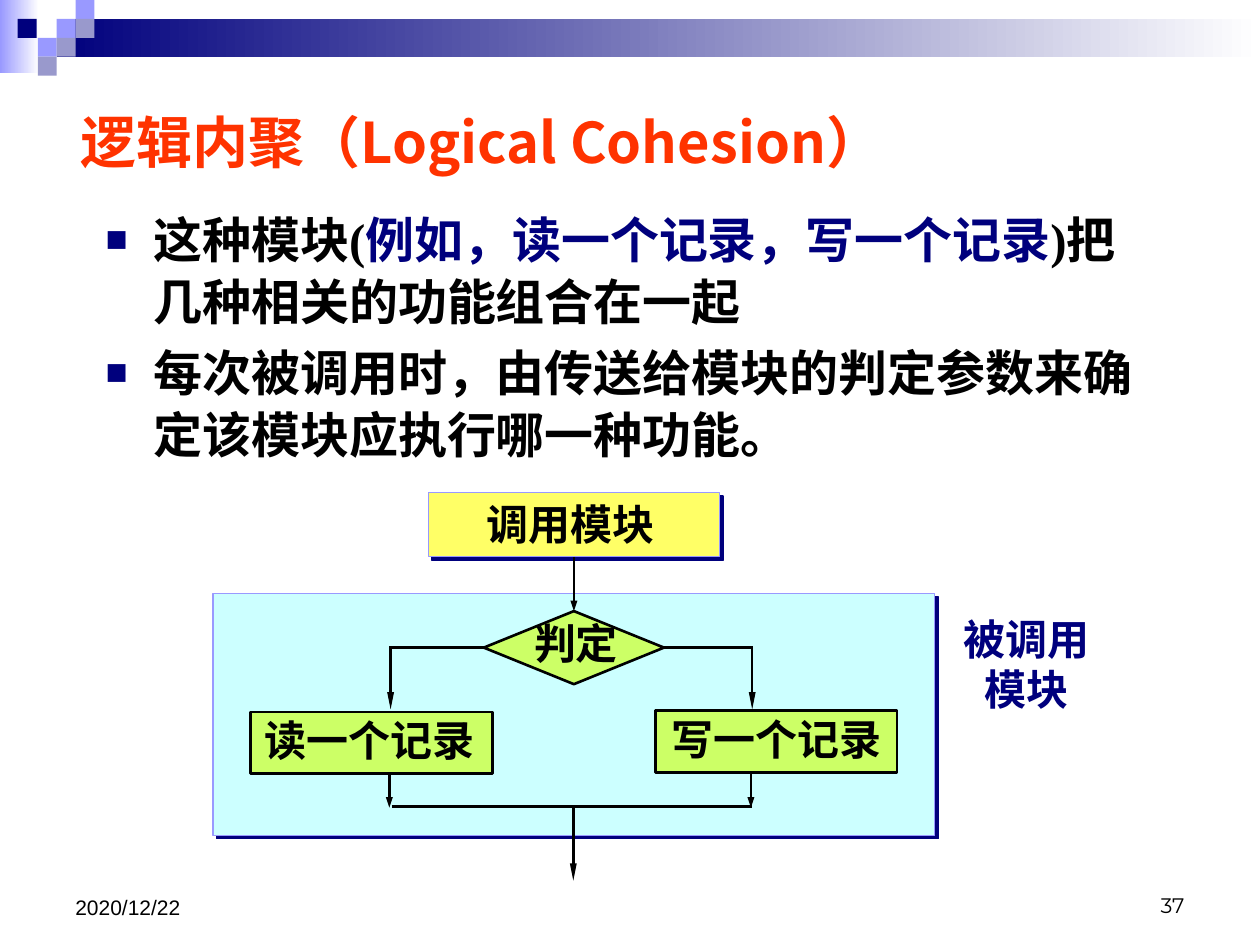
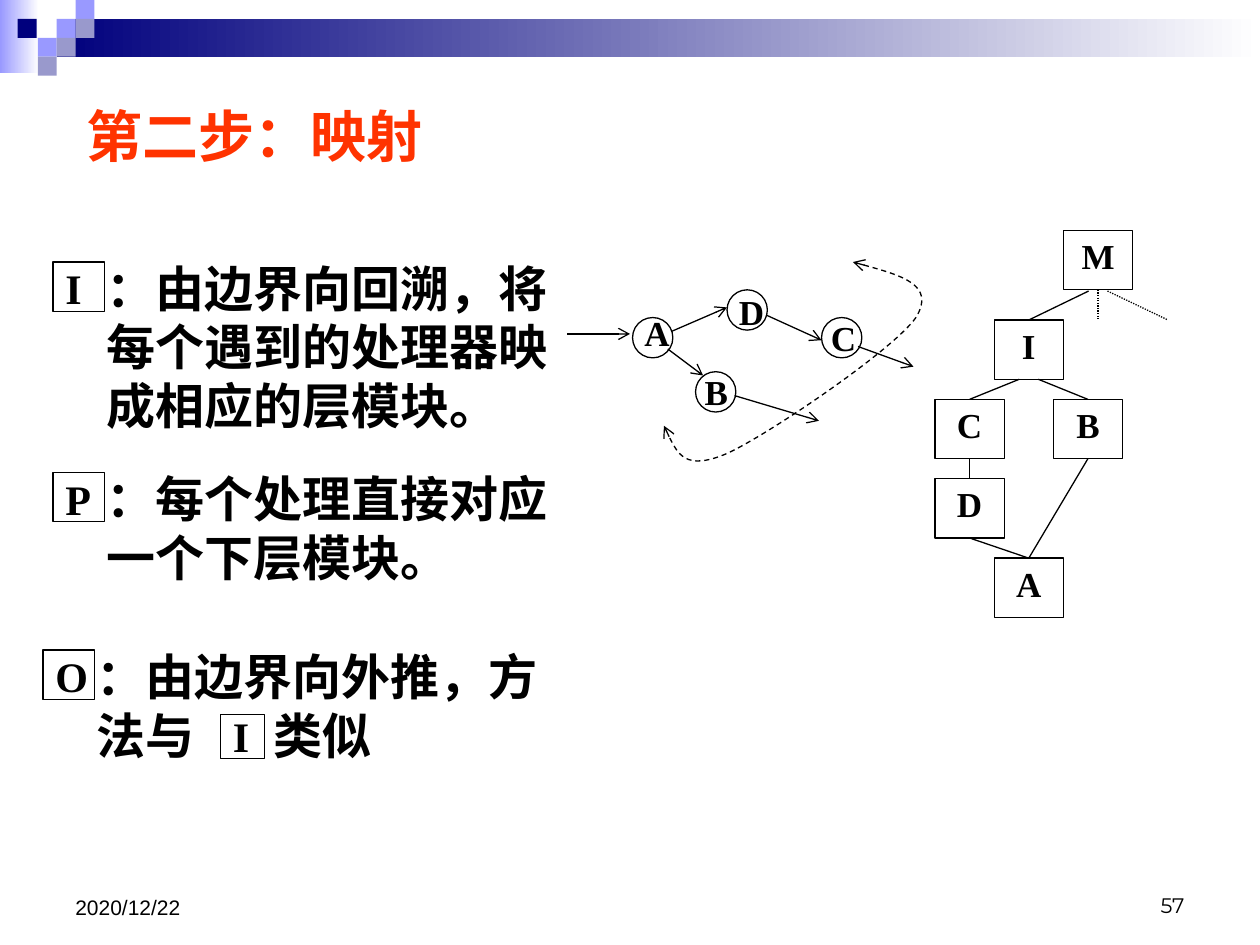
from dataclasses import dataclass

from lxml.etree import SubElement
from pptx import Presentation
from pptx.dml.color import RGBColor
from pptx.enum.dml import MSO_LINE
from pptx.enum.shapes import MSO_CONNECTOR, MSO_SHAPE
from pptx.enum.text import MSO_ANCHOR, MSO_AUTO_SIZE, PP_ALIGN
from pptx.oxml.ns import qn
from pptx.util import Pt

EMU_PER_PX = 9144
TOP, LEFT, BOTTOM, RIGHT = range(4)


@dataclass(frozen=True)
class Theme:
    """Colours, fonts and type sizes shared by the slides."""

    black: str = "000000"
    white: str = "FFFFFF"
    navy: str = "00007D"
    lilac: str = "9999FF"
    dusk: str = "9999CC"
    red: str = "FF3300"
    yellow: str = "FFFF66"
    cyan: str = "CCFFFF"
    lime: str = "CCFF66"
    serif: str = "Times New Roman"
    asian: str = "Noto Sans CJK JP"
    date_font: str = "Arial"
    number_font: str = "Montserrat"
    title_size: int = 32
    body_size: int = 28
    label_size: int = 24
    node_size: int = 20
    footer_size: int = 12
    thin: float = 0.75
    thick: float = 1.5


THEME = Theme()
NO_INSETS = dict.fromkeys(("margin_left", "margin_top", "margin_right", "margin_bottom"), 0)
GROWING = {"word_wrap": False, "auto_size": MSO_AUTO_SIZE.SHAPE_TO_FIT_TEXT}
NODE_PARAGRAPH = {"alignment": PP_ALIGN.CENTER, "line_spacing": 1.1}
SLENDER = {"type": "triangle", "w": "sm", "len": "lg"}
STUBBY = {"type": "triangle", "w": "sm", "len": "med"}
OPEN_ARROW = {"type": "arrow"}


def px(*lengths):
    """Turn pixel lengths into EMU."""
    return [round(length * EMU_PER_PX) for length in lengths]


def rgb(color):
    """Turn a hex string into a colour."""
    return RGBColor.from_string(color)


def apply_format(target, values):
    """Set every attribute named in values on the target."""
    for name, value in values.items():
        setattr(target, name, value)


def text_style(size, color=THEME.black, name=THEME.serif, bold=True):
    """Return the font values of a run."""
    return {"size": Pt(size), "color": color, "name": name, "bold": bold}


def write(frame, paragraphs, style, frame_format=None, paragraph_format=None):
    """Fill a text frame with paragraphs, each a list of (text, override) runs."""
    apply_format(frame, {"word_wrap": True, "vertical_anchor": MSO_ANCHOR.TOP, **(frame_format or {})})
    for index, runs in enumerate(paragraphs):
        paragraph = frame.add_paragraph() if index else frame.paragraphs[0]
        apply_format(paragraph, {"alignment": PP_ALIGN.LEFT, **(paragraph_format or {})})
        for text, override in runs:
            values = {**style, **override}
            run = paragraph.add_run()
            run.text = text
            run.font.color.rgb = rgb(values.pop("color"))
            apply_format(run.font, values)
            SubElement(run._r.get_or_add_rPr(), qn("a:ea"), typeface=THEME.asian)


def add_text(slide, box, text, style, frame_format=None, paragraph_format=None):
    """Add a text box; text is a string with line breaks or a list of paragraphs."""
    shape = slide.shapes.add_textbox(*px(*box))
    paragraphs = [[(line, {})] for line in text.split("\n")] if isinstance(text, str) else text
    write(shape.text_frame, paragraphs, style, frame_format, paragraph_format)
    return shape


def add_block(slide, box, fill=None, line=None, width=THEME.thin, kind=MSO_SHAPE.RECTANGLE):
    """Add a preset shape with a plain, gradient or empty fill."""
    shape = slide.shapes.add_shape(kind, *px(*box))
    shape.shadow.inherit = False
    if isinstance(fill, tuple):
        shape.fill.gradient()
        shape.fill.gradient_angle = 0
        for stop, color in zip(shape.fill.gradient_stops, fill):
            stop.color.rgb = rgb(color)
    elif fill:
        shape.fill.solid()
        shape.fill.fore_color.rgb = rgb(fill)
    else:
        shape.fill.background()
    if line:
        shape.line.color.rgb = rgb(line)
        shape.line.width = Pt(width)
    else:
        shape.line.fill.background()
    return shape


def add_hard_shadow(shape):
    """Give a shape a solid navy shadow to its lower right."""
    effects = next(shape.element.iter(qn("a:effectLst")))
    shadow = SubElement(effects, qn("a:outerShdw"), dist=str(Pt(2.8)), dir="2700000", algn="ctr")
    SubElement(shadow, qn("a:srgbClr"), val=THEME.navy)


def add_line_ends(shape, **ends):
    """Add arrowheads to the outline of a shape."""
    outline = next(shape.element.iter(qn("a:ln")))
    for tag, values in ends.items():
        SubElement(outline, qn(f"a:{tag}"), **values)


def add_line(slide, start, end, width=THEME.thin, arrow=None, dash=None):
    """Draw a line between points or (shape, side) pairs."""
    points = [(0, 0) if hasattr(point[0], "element") else point for point in (start, end)]
    line = slide.shapes.add_connector(MSO_CONNECTOR.STRAIGHT, *px(*points[0], *points[1]))
    for point, connect in ((start, line.begin_connect), (end, line.end_connect)):
        if hasattr(point[0], "element"):
            connect(*point)
    line.line.color.rgb = rgb(THEME.black)
    apply_format(line.line, {"width": Pt(width), "dash_style": dash})
    SubElement(line.element.spPr, qn("a:effectLst"))
    if arrow:
        add_line_ends(line, tailEnd=arrow)


def add_curve(slide, start, controls):
    """Draw a dashed cubic curve with an arrowhead at both ends."""
    builder = slide.shapes.build_freeform(*start, scale=EMU_PER_PX)
    builder.add_line_segments(controls, close=False)
    shape = builder.convert_to_shape()
    outline = next(shape.element.iter(qn("a:path")))
    corners = outline.findall(qn("a:lnTo"))
    for first in range(0, len(corners), 3):
        curve = SubElement(outline, qn("a:cubicBezTo"))
        for corner in corners[first:first + 3]:
            curve.append(corner[0])
            outline.remove(corner)
    shape.shadow.inherit = False
    shape.fill.background()
    shape.line.color.rgb = rgb(THEME.black)
    apply_format(shape.line, {"width": Pt(THEME.thin), "dash_style": MSO_LINE.DASH})
    add_line_ends(shape, headEnd=OPEN_ARROW, tailEnd=OPEN_ARROW)


def add_bullets(shape):
    """Give each paragraph a hanging navy square."""
    indent = px(38)[0]
    for paragraph in shape.text_frame.paragraphs:
        properties = paragraph._p.get_or_add_pPr()
        properties.set("marL", str(indent))
        properties.set("indent", str(-indent))
        color = SubElement(properties, qn("a:buClr"))
        SubElement(color, qn("a:srgbClr"), val=THEME.navy)
        SubElement(properties, qn("a:buSzPct"), val="75000")
        SubElement(properties, qn("a:buFont"), typeface=THEME.date_font)
        SubElement(properties, qn("a:buChar"), char="■")


def add_tab_stop(shape, position):
    """Set a left tab stop in the first paragraph."""
    properties = shape.text_frame.paragraphs[0]._p.get_or_add_pPr()
    stops = SubElement(properties, qn("a:tabLst"))
    SubElement(stops, qn("a:tab"), pos=str(px(position)[0]), algn="l")


def add_slide(presentation, number):
    """Add a blank slide with the band, corner squares and footer."""
    slide = presentation.slides.add_slide(presentation.slide_layouts[6])
    add_block(slide, (0, 0, 31, 58), (THEME.lilac, THEME.white))
    add_block(slide, (45, 15, 955, 30), (THEME.navy, THEME.white))
    squares = ((45, 15, THEME.lilac), (60, 0, THEME.lilac), (60, 15, THEME.dusk),
               (30, 30, THEME.lilac), (14, 15, THEME.navy), (45, 30, THEME.dusk), (30, 45, THEME.dusk))
    for left, top, color in squares:
        add_block(slide, (left, top, 15, 15), color)
    footers = (((717, 683, 233, 50), number, THEME.number_font, PP_ALIGN.RIGHT),
               ((50, 683, 233, 52), "2020/12/22", THEME.date_font, PP_ALIGN.LEFT))
    for box, text, font, alignment in footers:
        add_text(slide, box, text, text_style(THEME.footer_size, name=font, bold=False),
                 {"vertical_anchor": MSO_ANCHOR.BOTTOM}, {"alignment": alignment})
    return slide


def build_cohesion_slide(presentation):
    """Build the logical cohesion slide with its flow chart."""
    slide = add_slide(presentation, "37")
    title = [[("逻辑内聚", {}), ("（Logical Cohesion）", {"name": THEME.asian})]]
    add_text(slide, (54, 54, 900, 116), title, text_style(THEME.title_size, THEME.red),
             {"vertical_anchor": MSO_ANCHOR.MIDDLE})
    points = [[("这种模块(", {}), ("例如，读一个记录，写一个记录", {"color": THEME.navy}),
               (")把几种相关的功能组合在一起", {})],
              [("每次被调用时，由传送给模块的判定参数来确定该模块应执行哪一种功能。", {})]]
    body = add_text(slide, (74, 159, 850, 252), points, text_style(THEME.body_size),
                    paragraph_format={"line_spacing": 1.05, "space_before": Pt(5.6)})
    add_bullets(body)

    caller = add_block(slide, (340, 391, 231, 51), THEME.yellow, THEME.lilac)
    called = add_block(slide, (169, 471, 573, 192), THEME.cyan, THEME.lilac)
    for shape in (caller, called):
        add_hard_shadow(shape)
    decision = add_block(slide, (384, 485, 143, 58), THEME.lime, THEME.black, THEME.thick, MSO_SHAPE.DIAMOND)
    for left, top in ((520, 564), (199, 565)):
        add_block(slide, (left, top, 192, 49), THEME.lime, THEME.black, THEME.thick)

    flows = (((caller, BOTTOM), (decision, TOP), STUBBY),
             ((decision, RIGHT), (598, 514), None), ((decision, LEFT), (309, 514), None),
             ((597, 514), (597, 563), SLENDER), ((310, 514), (310, 563), SLENDER),
             ((596, 613), (596, 641), STUBBY), ((309, 614), (309, 641), STUBBY),
             ((311, 640), (597, 640), None), ((455, 640), (455, 699), SLENDER))
    for start, end, arrow in flows:
        add_line(slide, start, end, THEME.thick, arrow)

    labels = (((523, 561, 187, 50), "写一个记录"), ((200, 562, 187, 50), "读一个记录"),
              ((414, 485, 87, 50), "判定"), ((376, 391, 153, 50), "调用模块"))
    for box, text in labels:
        add_text(slide, box, text, text_style(THEME.label_size), GROWING)
    add_text(slide, (755, 482, 120, 90), "被调用\n模块", text_style(THEME.label_size, THEME.navy),
             GROWING, {"alignment": PP_ALIGN.CENTER})


def add_data_flow(slide):
    """Draw the data flow of processes A to D with its boundary."""
    processes = (("A", 502, 252, 494, 244), ("D", 577, 230, 569, 227),
                 ("C", 652, 252, 642, 248), ("B", 552, 295, 541, 291))
    for name, left, top, label_left, label_top in processes:
        add_text(slide, (label_left, label_top, 55, 43), name, text_style(THEME.node_size),
                 NO_INSETS, NODE_PARAGRAPH)
        add_block(slide, (left, top, 32, 32), line=THEME.black, kind=MSO_SHAPE.OVAL)
    flows = ((450, 265, 500, 265), (533, 263, 577, 244), (530, 277, 558, 298),
             (608, 250, 652, 270), (583, 314, 650, 334), (681, 275, 725, 291))
    for flow in flows:
        add_line(slide, flow[:2], flow[2:], arrow=OPEN_ARROW)
    add_curve(slide, (677, 208), [(710, 217), (743, 226), (727, 252), (710, 277), (610, 345),
                                  (577, 360), (544, 374), (535, 356), (527, 338)])


def add_module_tree(slide):
    """Draw the module tree below M."""
    column, row, step_x, step_y = 742, 254, 47, 63
    places = {"I": (1, 0), "C": (0, 1), "B": (2, 1), "D": (0, 2), "A": (1, 3)}
    corners = {"M": (844, 183)}
    corners.update({name: (column + x * step_x, row + y * step_y) for name, (x, y) in places.items()})
    modules = {}
    for name, corner in corners.items():
        modules[name] = add_block(slide, (*corner, 55, 47), line=THEME.black)
        write(modules[name].text_frame, [[(name, {})]], text_style(THEME.node_size), NO_INSETS, NODE_PARAGRAPH)
    for start, child in (((864, 231), "I"), ((809, 301), "C"), ((824, 301), "B")):
        add_line(slide, start, (modules[child], TOP))
    for parent, child in ("CD", "DA", "BA"):
        add_line(slide, (modules[parent], BOTTOM), (modules[child], TOP))
    for start, end in (((modules["M"], BOTTOM), (871.5, 254)), ((879, 231), (927, 254))):
        add_line(slide, start, end, dash=MSO_LINE.ROUND_DOT)


def add_tag(slide, box, name, spacing=0.9):
    """Add a framed letter."""
    tag = add_block(slide, box, line=THEME.black)
    write(tag.text_frame, [[(name, {})]], text_style(THEME.label_size), paragraph_format={"line_spacing": spacing})


def build_mapping_slide(presentation):
    """Build the mapping slide with its rules, data flow and module tree."""
    slide = add_slide(presentation, "57")
    add_text(slide, (59, 76, 402, 58), "第二步：映射", text_style(THEME.title_size, THEME.red))
    add_data_flow(slide)
    add_module_tree(slide)
    rules = (("P", 75, 367, 103, "：每个处理直接对应一个下层模块。"),
             ("I", 75, 200, 150, "：由边界向回溯，将每个遇到的处理器映成相应的层模块。"),
             ("O", 67, 508, 103, "：由边界向外推，方法与\t类似"))
    for name, left, top, height, text in rules:
        rule = add_text(slide, (left, top, 383, height), text, text_style(THEME.body_size))
        add_tag(slide, (left - 33, top + 8, 41, 39), name)
    add_tab_stop(rule, 140)
    add_tag(slide, (175, 567, 35, 35), "I", 0.8)


def main():
    """Build and save the presentation."""
    presentation = Presentation()
    apply_format(presentation, dict(zip(("slide_width", "slide_height"), px(1000, 750))))
    build_cohesion_slide(presentation)
    build_mapping_slide(presentation)
    presentation.save("out.pptx")


if __name__ == "__main__":
    main()
